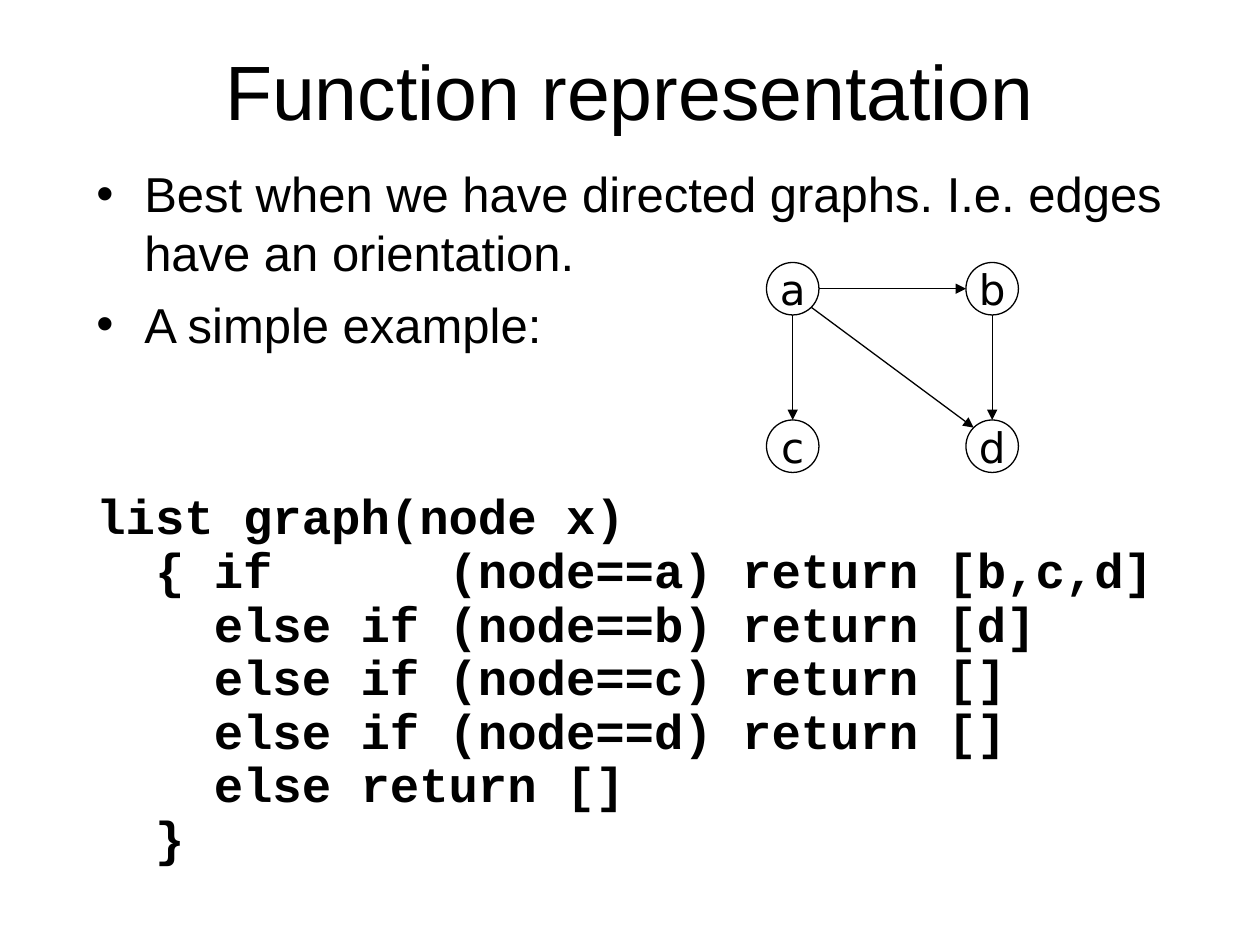
from math import sqrt

from lxml import etree
from pptx import Presentation
from pptx import util as u
from pptx.dml.color import RGBColor
from pptx.enum import shapes, text
from pptx.oxml.ns import qn

BLACK = RGBColor(0, 0, 0)
WHITE = RGBColor(255, 255, 255)

BULLETS = [
    "Best when we have directed graphs. I.e. edges have an orientation.",
    "A simple example:",
]
CODE = """list graph(node x)
  { if      (node==a) return [b,c,d]
    else if (node==b) return [d]
    else if (node==c) return []
    else if (node==d) return []
    else return []
  }""".split("\n")
NODES = {"a": (73, 25), "b": (92, 25), "c": (73, 40), "d": (92, 40)}
DIAGONAL = sqrt(0.5)
EDGES = [
    ("a", "d", DIAGONAL, DIAGONAL),
    ("a", "b", 1, 0),
    ("a", "c", 0, 1),
    ("b", "d", 0, 1),
]


class Deck:
    """Draws styled elements on a slide with a grid of 120 columns by 90 rows."""

    cell = u.Inches(1) / 12
    node_size = 5

    def __init__(self):
        self.prs = Presentation()
        self.prs.slide_width = self.at(120)
        self.prs.slide_height = self.at(90)
        self.s = self.prs.slides.add_slide(self.prs.slide_layouts[6])

    def at(self, *cells):
        places = [u.Emu(round(c * self.cell)) for c in cells]
        return places if len(places) > 1 else places[0]

    def font(self, p, name, size, bold=False):
        for r in p.runs:
            r.font.name, r.font.size, r.font.bold = name, u.Pt(size), bold
            r.font.color.rgb = BLACK

    def box(self, *cells):
        tf = self.s.shapes.add_textbox(*self.at(*cells)).text_frame
        tf.word_wrap = True
        return tf

    def title(self, words, *cells):
        tf = self.box(*cells)
        tf.text = words
        tf.vertical_anchor = text.MSO_ANCHOR.MIDDLE
        p = tf.paragraphs[0]
        p.alignment = text.PP_ALIGN.CENTER
        self.font(p, "Arial", 44)

    def body(self, bullets, code, *cells):
        tf = self.box(*cells)
        tf.text = "\n".join(bullets + code)
        for i, p in enumerate(tf.paragraphs):
            is_code = i >= len(bullets)
            pPr = p._p.get_or_add_pPr()
            pPr.set("marL", str(u.Inches(0.38)))
            pPr.set("indent", str(-u.Inches(0.38)))
            if not is_code:
                etree.SubElement(pPr, qn("a:buFont"), typeface="Arial")
                etree.SubElement(pPr, qn("a:buChar"), char="•")
            p.line_spacing = u.Pt(23.6 if is_code else 33.7)
            if i:
                p.space_before = u.Pt(86 if i == len(bullets) else 7)
            self.font(p, "Courier New" if is_code else "Arial", 28, is_code)

    def node(self, label, col, row):
        size = self.node_size
        sp = self.s.shapes.add_shape(
            shapes.MSO_SHAPE.OVAL, *self.at(col, row, size, size))
        sp.shadow.inherit = False
        sp.fill.solid()
        sp.fill.fore_color.rgb = WHITE
        sp.line.color.rgb = BLACK
        sp.line.width = u.Pt(0.75)
        tf = sp.text_frame
        tf.text = label
        tf.word_wrap = False
        tf.vertical_anchor = text.MSO_ANCHOR.MIDDLE
        p = tf.paragraphs[0]
        p.alignment = text.PP_ALIGN.CENTER
        self.font(p, "DejaVu Sans", 24)

    def arrow(self, start, end, dx, dy):
        r = self.node_size / 2
        (x1, y1), (x2, y2) = start, end
        sp = self.s.shapes.add_connector(
            shapes.MSO_CONNECTOR.STRAIGHT,
            *self.at(x1 + r + r * dx, y1 + r + r * dy,
                     x2 + r - r * dx, y2 + r - r * dy))
        sp.line.color.rgb = BLACK
        sp.line.width = u.Pt(0.75)
        etree.SubElement(sp.line._get_or_add_ln(), qn("a:tailEnd"), type="triangle")
        etree.SubElement(sp._element.spPr, qn("a:effectLst"))


def main():
    deck = Deck()
    deck.title("Function representation", 6, 1, 108, 15)
    deck.body(BULLETS, CODE, 8, 15, 105, 69)
    for label, place in NODES.items():
        deck.node(label, *place)
    for start, end, dx, dy in EDGES:
        deck.arrow(NODES[start], NODES[end], dx, dy)
    deck.prs.save("out.pptx")


if __name__ == "__main__":
    main()
